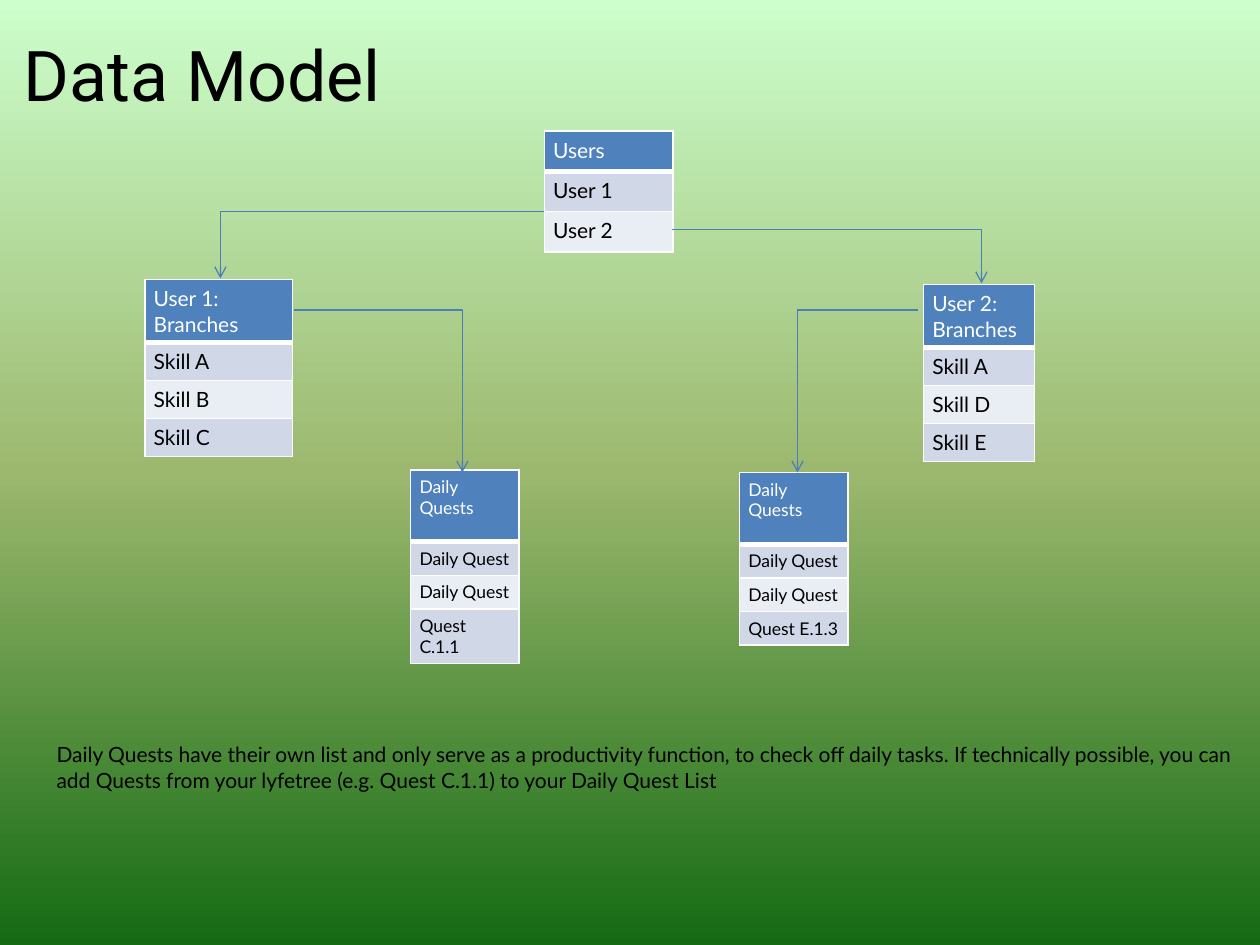
"""Build the Data Model slide with linked tables on a green gradient."""
from copy import deepcopy

from pptx import Presentation
from pptx.dml.color import RGBColor
from pptx.enum.shapes import MSO_CONNECTOR as Link
from pptx.enum.text import MSO_ANCHOR as Anchor, PP_ALIGN as Align
from pptx.oxml import parse_xml
from pptx.oxml.ns import nsdecls, qn
from pptx.util import Inches, Pt

BLACK = RGBColor(0x00, 0x00, 0x00)
WHITE = RGBColor(0xFF, 0xFF, 0xFF)
HEAD = RGBColor(0x4F, 0x81, 0xBD)
BANDS = (RGBColor(0xD0, 0xD8, 0xE8), RGBColor(0xE9, 0xED, 0xF4))
WIRE = RGBColor(0x4B, 0x7E, 0xBC)
STOPS = (
    (0, RGBColor(0xCC, 0xFF, 0xCC)),
    (0.5, RGBColor(0x9C, 0xB8, 0x6E)),
    (1, RGBColor(0x15, 0x6B, 0x13)),
)
NOTE = (
    "Daily Quests have their own list and only serve as a productivity function, "
    "to check off daily tasks. If technically possible, you can add Quests from "
    "your lyfetree (e.g. Quest C.1.1) to your Daily Quest List"
)
TABLES = (
    (4.32, 1.04, 1.02, 0.32, 0.32, 12, ("Users", "User 1", "User 2")),
    (1.15, 2.22, 1.17, 0.5, 0.3, 12,
     ("User 1: Branches", "Skill A", "Skill B", "Skill C")),
    (7.33, 2.26, 0.88, 0.5, 0.3, 12,
     ("User 2: Branches", "Skill A", "Skill D", "Skill E")),
    (3.26, 3.73, 0.86, 0.57, 0.26, 10,
     ("Daily Quests", "Daily Quest", "Daily Quest", "Quest C.1.1")),
    (5.87, 3.75, 0.86, 0.57, 0.26, 10,
     ("Daily Quests", "Daily Quest", "Daily Quest", "Quest E.1.3")),
)
ARROWS = (
    (4.32, 1.68, 1.75, 2.21),
    (5.33, 1.82, 7.79, 2.25),
    (2.33, 2.46, 3.67, 3.75),
    (7.29, 2.46, 6.33, 3.75),
)


def style(frame, size, color, font="Lato"):
    """Format every run in a text frame."""
    for para in frame.paragraphs:
        for run in para.runs:
            run.font.size = Pt(size)
            run.font.name = font
            run.font.color.rgb = color


def paint(slide):
    """Fill the background with the vertical gradient."""
    fill = slide.background.fill
    fill.gradient()
    fill.gradient_angle = 270
    stops = next(slide.element.iter(qn("a:gsLst")))
    stops.append(deepcopy(stops[-1]))
    for stop, (pos, color) in zip(fill.gradient_stops, STOPS):
        stop.position = pos
        stop.color.rgb = color


def add_title(slide, text):
    """Place the title in its placeholder."""
    title = slide.shapes.title
    title.left, title.top = Inches(0.09), Inches(0.14)
    title.width, title.height = Inches(8.62), Inches(0.88)
    frame = title.text_frame
    frame.text = text
    frame.vertical_anchor = Anchor.MIDDLE
    frame.paragraphs[0].alignment = Align.LEFT
    style(frame, 40, BLACK, "Roboto")


def edge(cell, widths):
    """Draw white borders of the given widths on a cell."""
    props = cell._tc.get_or_add_tcPr()
    for i, (side, width) in enumerate(zip("LRTB", widths)):
        props.insert(i, parse_xml(
            f'<a:ln{side} {nsdecls("a")} w="{Pt(width)}"><a:solidFill>'
            f'<a:srgbClr val="{WHITE}"/></a:solidFill></a:ln{side}>'))


def add_list(slide, left, top, width, head, step, size, names):
    """Add a one-column table with a header and banded rows."""
    high = head + step * (len(names) - 1)
    table = slide.shapes.add_table(
        len(names), 1, Inches(left), Inches(top), Inches(width), Inches(high)).table
    for i, name in enumerate(names):
        table.rows[i].height = Inches(step if i else head)
        cell = table.cell(i, 0)
        cell.text = name
        cell.margin_left = cell.margin_right = Inches(0.07)
        cell.margin_top = cell.margin_bottom = Inches(0.05)
        cell.fill.solid()
        cell.fill.fore_color.rgb = BANDS[(i - 1) % 2] if i else HEAD
        style(cell.text_frame, size, BLACK if i else WHITE)
        edge(cell, (1, 1, 3 if i == 1 else 1, 1 if i else 3))


def add_arrow(slide, *ends):
    """Add an elbow arrow that runs across and then down."""
    wire = slide.shapes.add_connector(Link.ELBOW, *map(Inches, ends))
    wire.line.color.rgb = WIRE
    wire.line.width = Pt(0.75)
    props = wire._element.spPr
    guides = props.find(qn("a:prstGeom")).get_or_add_avLst()
    guides.append(parse_xml(
        f'<a:gd {nsdecls("a")} name="adj1" fmla="val 100000"/>'))
    wire.line._get_or_add_ln().append(
        parse_xml(f'<a:tailEnd {nsdecls("a")} type="arrow"/>'))
    props.append(parse_xml(f'<a:effectLst {nsdecls("a")}/>'))


def add_note(slide, text):
    """Add the wrapped remark below the tables."""
    box = slide.shapes.add_textbox(
        Inches(0.35), Inches(5.84), Inches(9.72), Inches(0.5))
    frame = box.text_frame
    frame.word_wrap = True
    frame.text = text
    style(frame, 12, BLACK)


def main():
    """Build and save the slide."""
    deck = Presentation()
    deck.slide_width, deck.slide_height = Inches(10), Inches(7.5)
    slide = deck.slides.add_slide(deck.slide_layouts[5])
    paint(slide)
    add_title(slide, "Data Model")
    for spec in TABLES:
        add_list(slide, *spec)
    for ends in ARROWS:
        add_arrow(slide, *ends)
    add_note(slide, NOTE)
    deck.save("out.pptx")


main()
